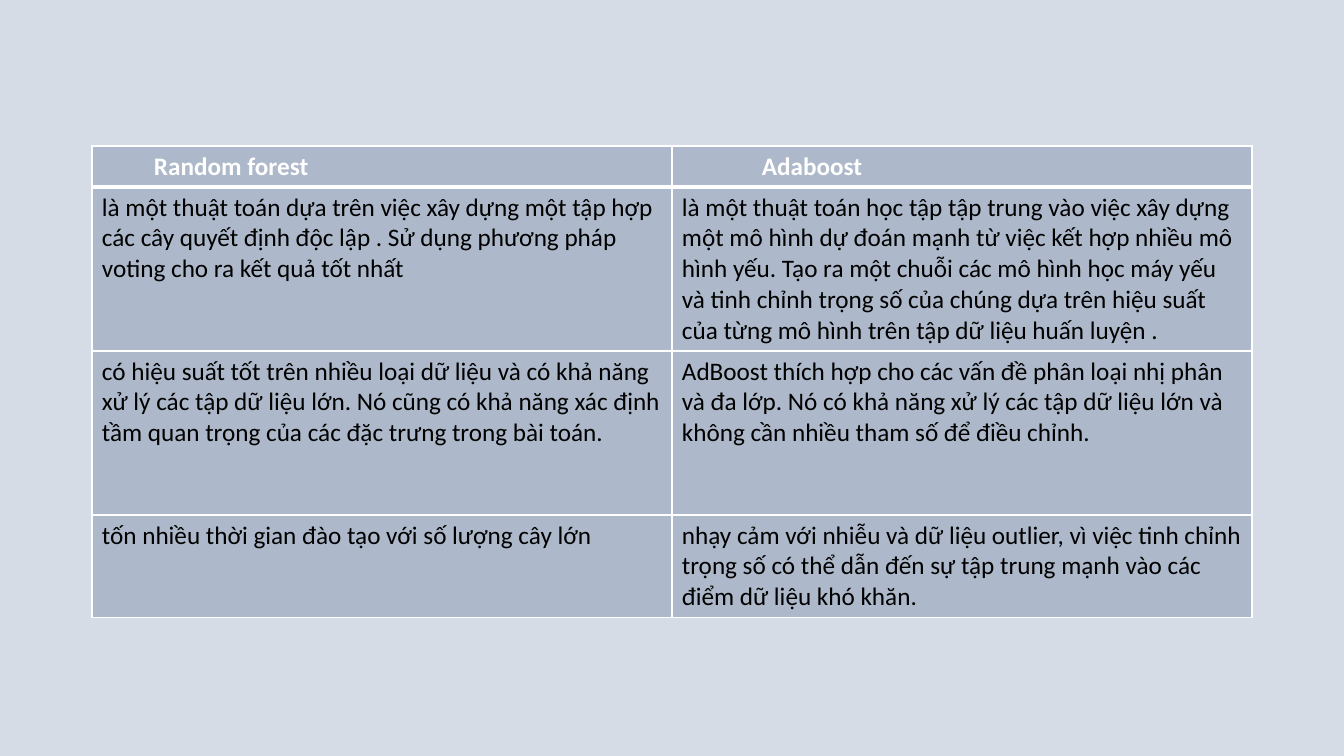
"""Build a slide with a table comparing Random forest and Adaboost."""
from dataclasses import dataclass

from lxml import etree
from pptx import Presentation
from pptx.dml.color import RGBColor
from pptx.oxml.ns import qn
from pptx.util import Emu, Pt

EMU_PER_PX = 12192000 / 1344
FONT = "Calibri"
WHITE, BLACK = "FFFFFF", "000000"
PAGE_FILL, CELL_FILL = "D6DCE5", "ADB9CA"
TABLE_LEFT, TABLE_TOP, COLUMN_WIDTH = 92, 146, 580
CELL_MARGIN = 10
HEADING_MARGINS = (62, 90)
THIN, THICK = 1, 3


@dataclass
class ComparisonRow:
    height: int
    random_forest: str
    adaboost: str
    heading: bool = False


ROWS = [
    ComparisonRow(41, "Random forest", "Adaboost", heading=True),
    ComparisonRow(
        164,
        "là một thuật toán dựa trên việc xây dựng một tập hợp các cây quyết định "
        "độc lập . Sử dụng phương pháp voting cho ra kết quả tốt nhất",
        "là một thuật toán học tập tập trung vào việc xây dựng một mô hình dự đoán "
        "mạnh từ việc kết hợp nhiều mô hình yếu. Tạo ra một chuỗi các mô hình học "
        "máy yếu và tinh chỉnh trọng số của chúng dựa trên hiệu suất của từng mô "
        "hình trên tập dữ liệu huấn luyện .",
    ),
    ComparisonRow(
        164,
        "có hiệu suất tốt trên nhiều loại dữ liệu và có khả năng xử lý các tập dữ "
        "liệu lớn. Nó cũng có khả năng xác định tầm quan trọng của các đặc trưng "
        "trong bài toán.",
        "AdBoost thích hợp cho các vấn đề phân loại nhị phân và đa lớp. Nó có khả "
        "năng xử lý các tập dữ liệu lớn và không cần nhiều tham số để điều chỉnh.",
    ),
    ComparisonRow(
        102,
        "tốn nhiều thời gian đào tạo với số lượng cây lớn",
        "nhạy cảm với nhiễu và dữ liệu outlier, vì việc tinh chỉnh trọng số có thể "
        "dẫn đến sự tập trung mạnh vào các điểm dữ liệu khó khăn.",
    ),
]


def px(length: int) -> Emu:
    """Turn pixels into EMU."""
    return Emu(round(length * EMU_PER_PX))


def color(value: str) -> RGBColor:
    """Turn a hex string into a colour."""
    return RGBColor.from_string(value)


def set_borders(cell, top: int, bottom: int) -> None:
    """Give a cell white borders, with widths in points."""
    properties = cell._tc.get_or_add_tcPr()
    widths = {"a:lnL": THIN, "a:lnR": THIN, "a:lnT": top, "a:lnB": bottom}
    for tag, width in widths.items():
        line = etree.SubElement(properties, qn(tag), w=str(Pt(width)))
        fill = etree.SubElement(line, qn("a:solidFill"))
        etree.SubElement(fill, qn("a:srgbClr"), val=WHITE)


def write_cell(cell, text: str, heading: bool, left_margin: int) -> None:
    """Fill a cell with formatted text."""
    cell.margin_left = px(left_margin)
    cell.margin_right = px(CELL_MARGIN)
    cell.fill.solid()
    cell.fill.fore_color.rgb = color(CELL_FILL)
    cell.text_frame.text = text
    font = cell.text_frame.paragraphs[0].runs[0].font
    font.name = FONT
    font.size = Pt(18)
    font.bold = heading
    font.color.rgb = color(WHITE if heading else BLACK)


def add_comparison(page, rows: list[ComparisonRow]) -> None:
    """Add the comparison table to the page."""
    height = sum(row.height for row in rows)
    table = page.shapes.add_table(
        len(rows), 2, px(TABLE_LEFT), px(TABLE_TOP), px(2 * COLUMN_WIDTH), px(height)
    ).table
    table.horz_banding = False
    for column in table.columns:
        column.width = px(COLUMN_WIDTH)
    for row_index, row in enumerate(rows):
        table.rows[row_index].height = px(row.height)
        top = THICK if row_index == 1 else THIN
        bottom = THICK if row.heading else THIN
        for column_index, text in enumerate((row.random_forest, row.adaboost)):
            cell = table.cell(row_index, column_index)
            margin = HEADING_MARGINS[column_index] if row.heading else CELL_MARGIN
            set_borders(cell, top, bottom)
            write_cell(cell, text, row.heading, margin)


def main() -> None:
    """Build and save the deck."""
    deck = Presentation()
    deck.slide_width, deck.slide_height = px(1344), px(756)
    page = deck.slides.add_slide(deck.slide_layouts[6])
    page.background.fill.solid()
    page.background.fill.fore_color.rgb = color(PAGE_FILL)
    add_comparison(page, ROWS)
    deck.save("out.pptx")


if __name__ == "__main__":
    main()
